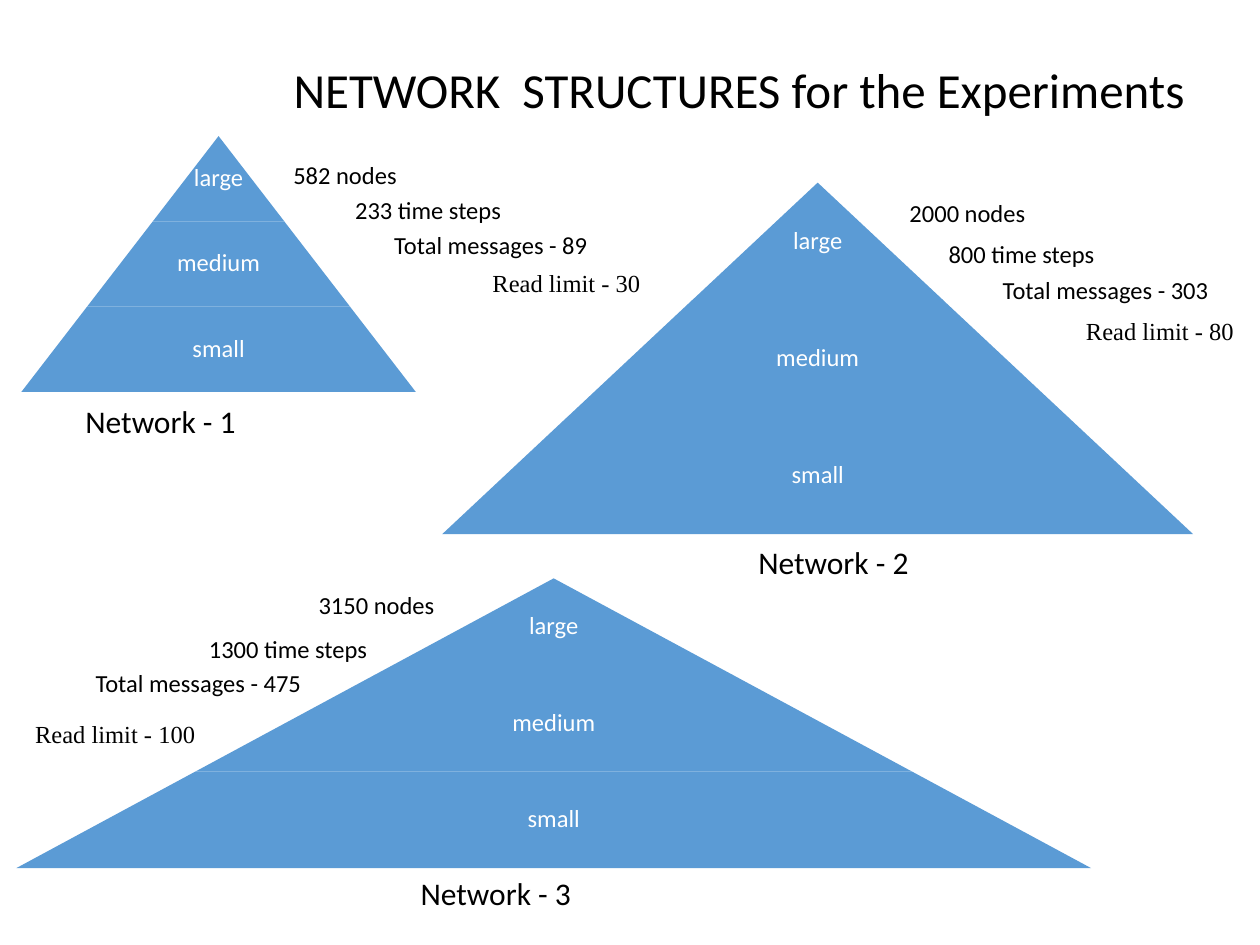
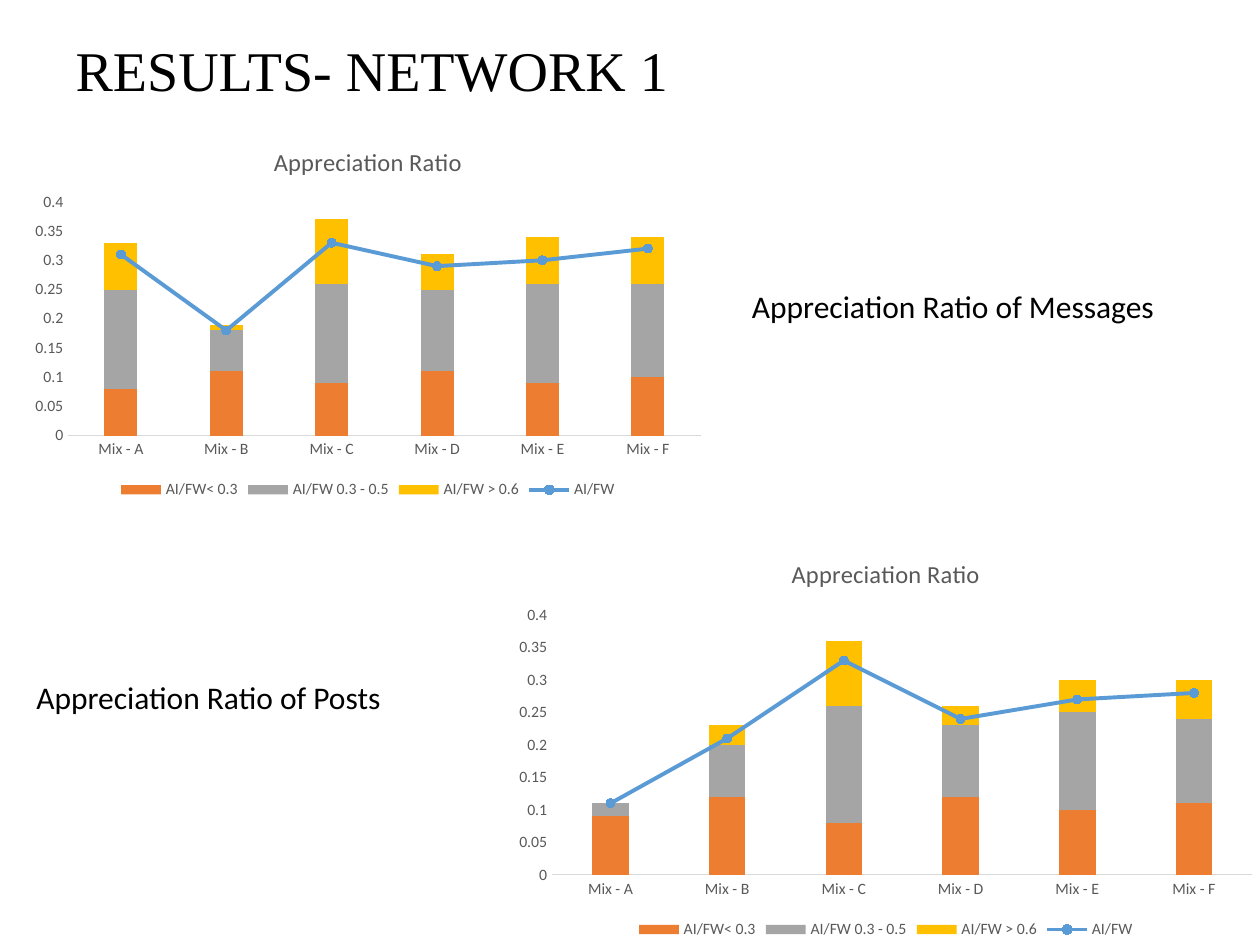
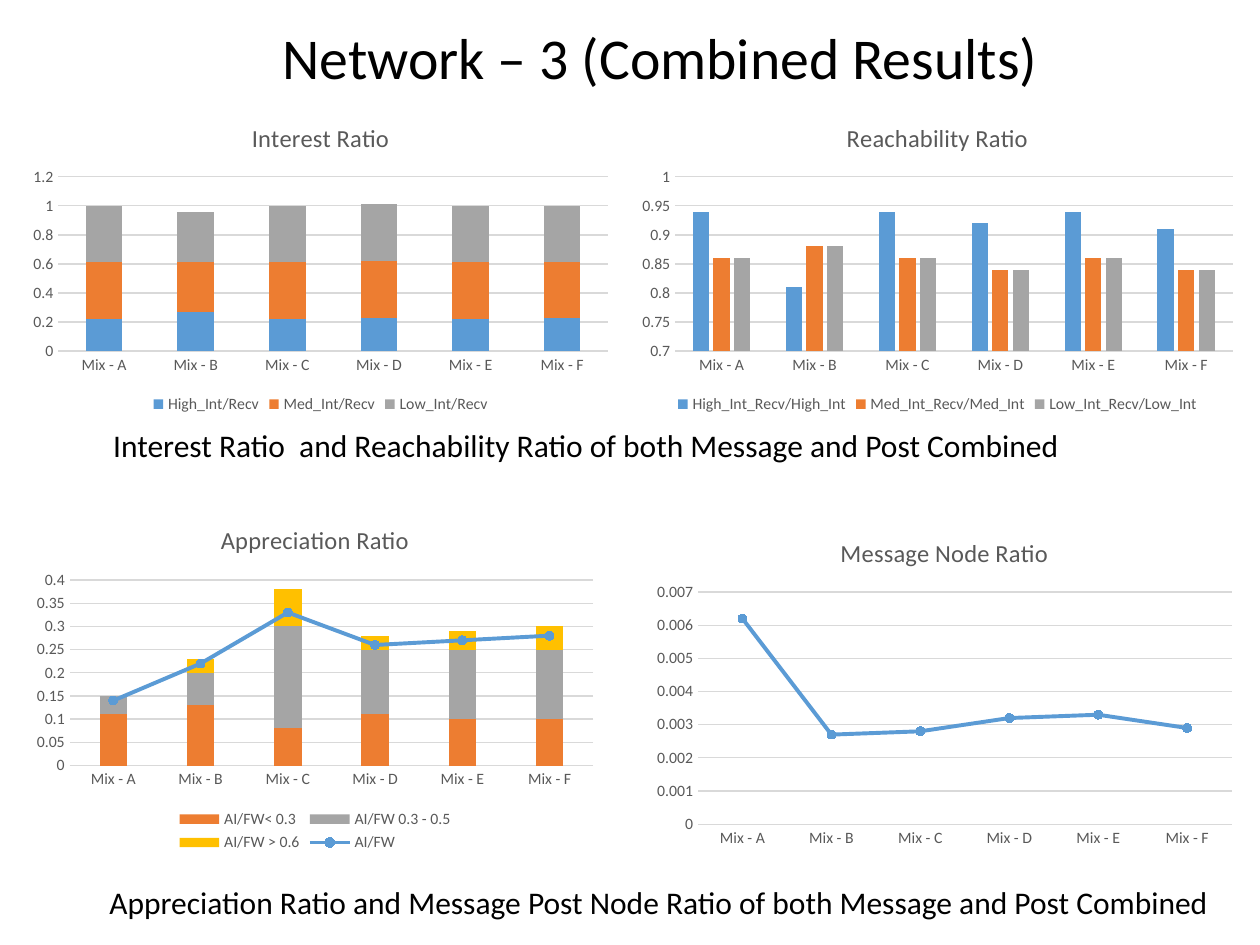
"""Build three slides on network structures and experiment results."""
from copy import deepcopy

from pptx import Presentation
from pptx.chart.data import CategoryChartData
from pptx.dml.color import RGBColor
from pptx.enum.chart import XL_CHART_TYPE as Chart
from pptx.enum.chart import XL_LEGEND_POSITION as Legend
from pptx.enum.chart import XL_MARKER_STYLE as Marker
from pptx.enum.chart import XL_TICK_MARK as Tick
from pptx.enum.shapes import MSO_SHAPE as Shape
from pptx.enum.text import MSO_ANCHOR as Anchor
from pptx.enum.text import MSO_AUTO_SIZE as AutoSize
from pptx.enum.text import PP_ALIGN as Align
from pptx.oxml import parse_xml
from pptx.oxml.ns import nsdecls, qn
from pptx.util import Inches, Pt

COLORS = {"text": "000000", "white": "FFFFFF", "blue": "5B9BD5", "orange": "ED7D31",
          "gray": "A5A5A5", "yellow": "FFC000", "label": "595959", "rule": "D9D9D9"}
SANS, SERIF = "Calibri", "Times New Roman"
MIXES = [f"Mix - {letter}" for letter in "ABCDEF"]
TIERS = ["large", "medium", "small"]
LINE_HEIGHT = {14: 0.34, 18: 0.4}
TITLE_ONLY = 5

NETWORKS = [
    {"name": ("Network - 1", 0.58, 3.14), "pyramid": (0.17, 1.08, 3.13, 2.03),
     "facts": [("582 nodes", 2.23, 1.22, 1.03), ("233 time steps", 2.72, 1.5, 1.38),
               ("Total messages - 89", 3.03, 1.78, 1.79), ("Read limit - 30", 3.81, 2.08, 1.39)]},
    {"name": ("Network - 2", 5.92, 4.26), "pyramid": (3.51, 1.45, 5.96, 2.79),
     "facts": [("2000 nodes", 7.12, 1.52, 1.13), ("800 time steps", 7.43, 1.85, 1.37),
               ("Total messages - 303", 7.86, 2.13, 1.89), ("Read limit - 80", 8.52, 2.46, 1.39)]},
    {"name": ("Network - 3", 3.24, 6.89), "pyramid": (0.13, 4.59, 8.53, 2.3),
     "facts": [("3150 nodes", 2.43, 4.63, 1.13), ("1300 time steps", 1.56, 4.98, 1.47),
               ("Total messages - 475", 0.66, 5.25, 1.89), ("Read limit - 100", 0.18, 5.66, 1.48)]},
]

APPRECIATION = {
    "title": "Appreciation Ratio", "kind": Chart.COLUMN_STACKED, "scale": (0, 0.4, 0.05),
    "names": ["AI/FW< 0.3", "AI/FW 0.3 - 0.5", "AI/FW > 0.6", "AI/FW"],
    "colors": ["orange", "gray", "yellow", "blue"], "gap": 219, "overlap": 100, "combo": True,
}
MESSAGES = {
    **APPRECIATION, "at": (0.17, 1, 5.5, 3), "grid": False,
    "values": [[0.08, 0.11, 0.09, 0.11, 0.09, 0.1], [0.17, 0.07, 0.17, 0.14, 0.17, 0.16],
               [0.08, 0.01, 0.11, 0.06, 0.08, 0.08], [0.31, 0.18, 0.33, 0.29, 0.3, 0.32]],
}
POSTS = {
    **APPRECIATION, "at": (4, 4.27, 6.06, 3.22), "grid": False,
    "values": [[0.09, 0.12, 0.08, 0.12, 0.1, 0.11], [0.02, 0.08, 0.18, 0.11, 0.15, 0.13],
               [0, 0.03, 0.1, 0.03, 0.05, 0.06], [0.11, 0.21, 0.33, 0.24, 0.27, 0.28]],
}
COMBINED = {
    **APPRECIATION, "at": (0.2, 4.01, 4.6, 2.79),
    "values": [[0.11, 0.13, 0.08, 0.11, 0.1, 0.1], [0.04, 0.07, 0.22, 0.14, 0.15, 0.15],
               [0, 0.03, 0.08, 0.03, 0.04, 0.05], [0.14, 0.22, 0.33, 0.26, 0.27, 0.28]],
}
NODE_RATIO = {
    "title": "Message Node Ratio", "kind": Chart.LINE_MARKERS_STACKED,
    "at": (5.12, 4.11, 4.75, 2.67), "scale": (0, 0.007, 0.001), "legend": False,
    "names": ["Series 1"], "colors": ["blue"],
    "values": [[0.0062, 0.0027, 0.0028, 0.0032, 0.0033, 0.0029]],
}
REACHABILITY = {
    "title": "Reachability Ratio", "kind": Chart.COLUMN_CLUSTERED,
    "at": (5, 0.82, 4.88, 2.5), "scale": (0.7, 1, 0.05), "gap": 219, "overlap": -27,
    "names": ["High_Int_Recv/High_Int", "Med_Int_Recv/Med_Int", "Low_Int_Recv/Low_Int"],
    "colors": ["blue", "orange", "gray"],
    "values": [[0.94, 0.81, 0.94, 0.92, 0.94, 0.91], [0.86, 0.88, 0.86, 0.84, 0.86, 0.84],
               [0.86, 0.88, 0.86, 0.84, 0.86, 0.84]],
}
INTEREST = {
    "title": "Interest Ratio", "kind": Chart.COLUMN_STACKED,
    "at": (0.17, 0.82, 4.75, 2.5), "scale": (0, 1.2, 0.2), "gap": 150, "overlap": 100,
    "names": ["High_Int/Recv", "Med_Int/Recv", "Low_Int/Recv"],
    "colors": ["blue", "orange", "gray"],
    "values": [[0.22, 0.27, 0.22, 0.23, 0.22, 0.23], [0.39, 0.34, 0.39, 0.39, 0.39, 0.38],
               [0.39, 0.35, 0.39, 0.39, 0.39, 0.39]],
}

SLIDES = [
    {"title": "NETWORK  STRUCTURES for the Experiments", "at": (0.5, 0.3, 9, 0.87),
     "size": 28, "font": SANS, "align": Align.RIGHT, "networks": NETWORKS},
    {"title": "RESULTS- NETWORK 1", "at": (0.5, 0.17, 9, 0.83),
     "size": 32, "font": SERIF, "align": Align.LEFT, "charts": [MESSAGES, POSTS],
     "captions": [("Appreciation Ratio of Posts", 0.19, 5.33, 3.02),
                  ("Appreciation Ratio of Messages", 5.87, 2.23, 3.43)]},
    {"title": "Network – 3 (Combined Results)", "at": (0.75, 0.14, 8.98, 0.68),
     "size": 33, "font": SANS, "align": Align.CENTER,
     "charts": [NODE_RATIO, COMBINED, REACHABILITY, INTEREST],
     "captions": [("Appreciation Ratio and Message Post Node Ratio of both Message and Post "
                   "Combined", 0.77, 6.96, 9.08),
                  ("Interest Ratio  and Reachability Ratio of both Message and Post Combined",
                   0.8, 3.33, 8.42)]},
]


def rgb(name):
    return RGBColor.from_string(COLORS[name])


def inches(box):
    return [Inches(v) for v in box]


def set_font(font, size, color="text", name=SANS):
    font.size, font.name, font.bold = Pt(size), name, False
    font.color.rgb = rgb(color)


def set_line(line, color, width):
    line.color.rgb = rgb(color)
    line.width = Pt(width)


def add_title(s, spec):
    sp = s.shapes.title
    sp.left, sp.top, sp.width, sp.height = inches(spec["at"])
    tf = sp.text_frame
    tf.text = spec["title"]
    tf.word_wrap, tf.auto_size, tf.vertical_anchor = True, AutoSize.NONE, Anchor.MIDDLE
    p = tf.paragraphs[0]
    p.alignment, p.line_spacing = spec["align"], 0.9
    set_font(p.runs[0].font, spec["size"], name=spec["font"])


def add_label(s, text, x, y, w, size, font=SANS, wrap=False):
    tf = s.shapes.add_textbox(*inches((x, y, w, LINE_HEIGHT[size]))).text_frame
    tf.text = text
    tf.word_wrap, tf.auto_size = wrap, AutoSize.SHAPE_TO_FIT_TEXT
    set_font(tf.paragraphs[0].runs[0].font, size, name=font)


def add_pyramid(s, x, y, w, h):
    group = s.shapes.add_group_shape()
    tier_h = h / len(TIERS)
    for i, text in enumerate(TIERS):
        tier_w = w * (i + 1) / len(TIERS)
        top, middle = y + i * tier_h, x + w / 2
        sp = group.shapes.add_shape(
            Shape.TRAPEZOID, *inches((middle - tier_w / 2, top, tier_w, tier_h)))
        sp.adjustments[0] = w / 2 / h
        sp.shadow.inherit = False
        sp.fill.solid()
        sp.fill.fore_color.rgb = rgb("blue")
        sp.line.fill.background()

        text_w = tier_w * (0.65 if i else 1)
        tf = group.shapes.add_textbox(
            *inches((middle - text_w / 2, top, text_w, tier_h))).text_frame
        tf.text = text
        tf.word_wrap, tf.vertical_anchor = True, Anchor.MIDDLE
        tf.margin_left = tf.margin_right = tf.margin_top = tf.margin_bottom = Inches(0.02)
        p = tf.paragraphs[0]
        p.alignment, p.line_spacing = Align.CENTER, 0.9
        set_font(p.runs[0].font, 14, "white")


def move_last_series_to_line(chart):
    bar = chart.plots[0]._element
    line = parse_xml(f'<c:lineChart {nsdecls("c")}><c:grouping val="stacked"/>'
                     '<c:varyColors val="0"/><c:marker val="1"/></c:lineChart>')
    ser = bar.findall(qn("c:ser"))[-1]
    for invert in ser.findall(qn("c:invertIfNegative")):
        ser.remove(invert)
    line.insert(2, ser)
    line.extend([deepcopy(ax) for ax in bar.findall(qn("c:axId"))])
    bar.addnext(line)


def style_series(ser, color, is_line):
    if not is_line:
        ser.format.fill.solid()
        ser.format.fill.fore_color.rgb = rgb(color)
        return
    ser.smooth = False
    set_line(ser.format.line, color, 2.25)
    ser.marker.style, ser.marker.size = Marker.CIRCLE, 5
    ser.marker.format.fill.solid()
    ser.marker.format.fill.fore_color.rgb = rgb(color)
    set_line(ser.marker.format.line, color, 0.75)


def style_axes(chart, scale, grid):
    cat, val = chart.category_axis, chart.value_axis
    for axis in (cat, val):
        axis.major_tick_mark = axis.minor_tick_mark = Tick.NONE
        set_font(axis.tick_labels.font, 9, "label")
    set_line(cat.format.line, "rule", 0.75)
    val.format.line.fill.background()
    val.minimum_scale, val.maximum_scale, val.major_unit = scale
    val.tick_labels.number_format = "General"
    val.tick_labels.number_format_is_linked = False
    val.has_major_gridlines = grid
    if grid:
        set_line(val.major_gridlines.format.line, "rule", 0.75)


def add_chart(s, spec):
    data = CategoryChartData()
    data.categories = MIXES
    for name, values in zip(spec["names"], spec["values"]):
        data.add_series(name, values)
    chart = s.shapes.add_chart(spec["kind"], *inches(spec["at"]), data).chart
    set_font(chart.font, 10)

    chart.has_title = True
    tf = chart.chart_title.text_frame
    tf.text = spec["title"]
    set_font(tf.paragraphs[0].runs[0].font, 14, "label")
    chart.chart_title.include_in_layout = False

    chart.has_legend = spec.get("legend", True)
    if chart.has_legend:
        chart.legend.position = Legend.BOTTOM
        chart.legend.include_in_layout = False
        set_font(chart.legend.font, 9, "label")
    style_axes(chart, spec["scale"], spec.get("grid", True))

    plot = chart.plots[0]
    plot.vary_by_categories = False
    if "gap" in spec:
        plot.gap_width, plot.overlap = spec["gap"], spec["overlap"]
    if spec.get("combo"):
        move_last_series_to_line(chart)
    colors = iter(spec["colors"])
    for plot in chart.plots:
        is_line = plot._element.tag == qn("c:lineChart")
        for ser in plot.series:
            style_series(ser, next(colors), is_line)


def main():
    prs = Presentation()
    prs.slide_width, prs.slide_height = Inches(10), Inches(7.5)
    for spec in SLIDES:
        s = prs.slides.add_slide(prs.slide_layouts[TITLE_ONLY])
        add_title(s, spec)
        for network in spec.get("networks", []):
            add_pyramid(s, *network["pyramid"])
            add_label(s, *network["name"], 1.67, 18, wrap=True)
            for fact in network["facts"]:
                add_label(s, *fact, 14, SERIF if fact[0].startswith("Read") else SANS)
        for chart in spec.get("charts", []):
            add_chart(s, chart)
        for caption in spec.get("captions", []):
            add_label(s, *caption, 18, wrap=caption[-1] > 5)
    prs.save("out.pptx")


if __name__ == "__main__":
    main()
